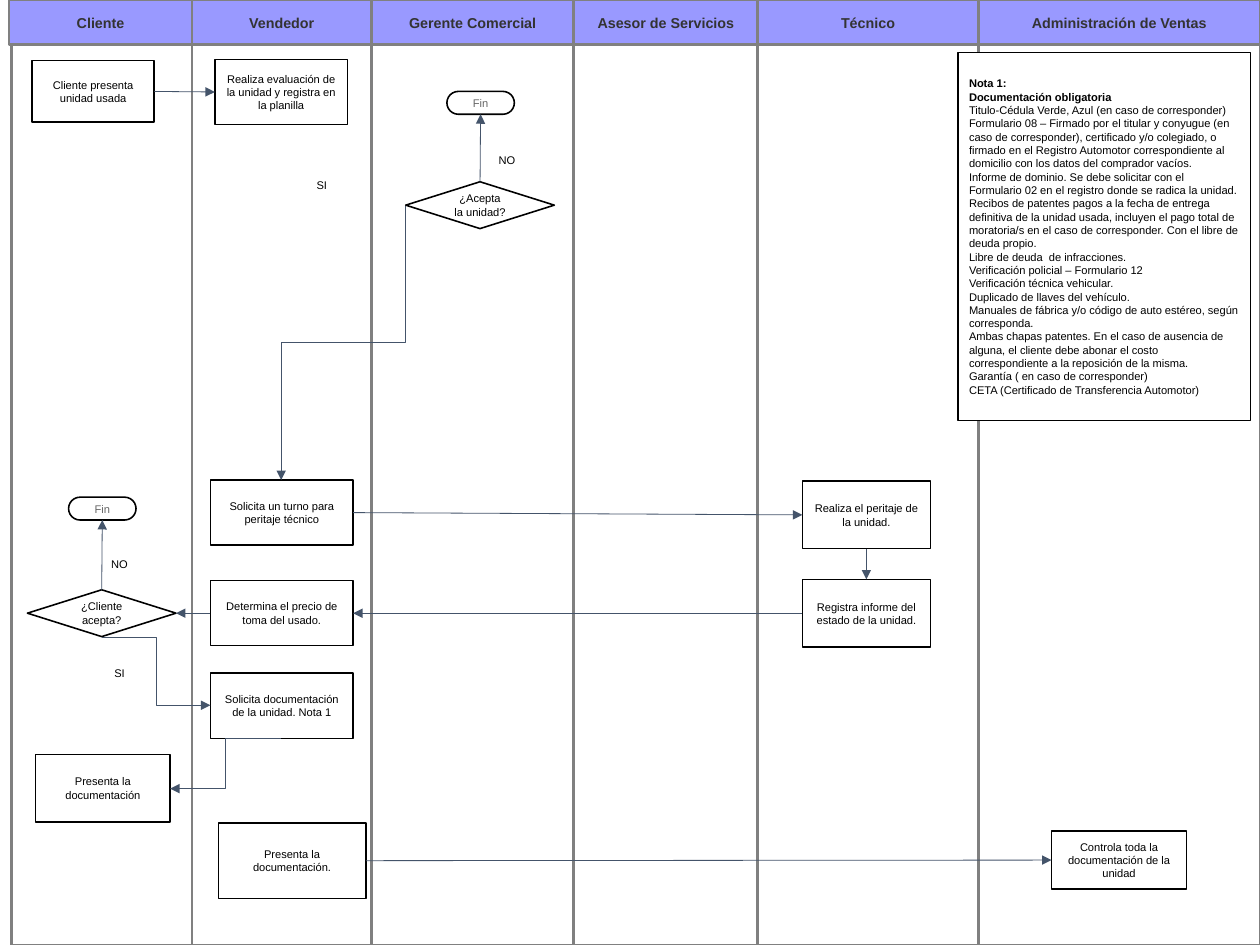
import pptx
import pptx.dml.color
import pptx.enum.shapes
import pptx.enum.text
import pptx.oxml
import pptx.util
from dataclasses import dataclass
from lxml import etree

Inches = pptx.util.Inches
Kind = pptx.enum.shapes.MSO_SHAPE
Connector = pptx.enum.shapes.MSO_CONNECTOR
Align = pptx.enum.text.PP_ALIGN
Anchor = pptx.enum.text.MSO_ANCHOR


@dataclass(frozen=True)
class Theme:
    font: str = "Arial"
    body_size: float = 7
    header_size: float = 9
    ink: str = "000000"
    header_ink: str = "333333"
    end_ink: str = "666666"
    paper: str = "FFFFFF"
    header_fill: str = "9999FF"
    lane_line: str = "808080"
    arrow_line: str = "44546A"
    lane_width: float = 1.7
    box_width: float = 0.99
    arrow_width: float = 0.51


THEME = Theme()
SLIDE_WIDTH, SLIDE_HEIGHT = 28 / 2.54, 21 / 2.54  # 28 by 21 cm
HEADER_HEIGHT = 0.39
TOP, LEFT, BOTTOM, RIGHT = range(4)  # connection sites

LANE_EDGES = [0.1, 1.68, 3.25, 5.02, 6.63, 8.56, SLIDE_WIDTH]
HEADER_EDGES = [0.08, *LANE_EDGES[1:]]
LANE_NAMES = ["Cliente", "Vendedor", "Gerente Comercial", "Asesor de Servicios",
              "Técnico", "Administración de Ventas"]
FRAME_SPANS = [(1, 2), (2, 5), (3, 5), (4, 6), (0, 1)]  # lane edges each frame joins

STEPS = {
    "arrival": ("Cliente presenta unidad usada", 0.28, 0.53, 1.07, 0.54),
    "evaluation": ("Realiza evaluación de la unidad y registra en la planilla",
                   1.88, 0.52, 1.16, 0.57),
    "appointment": ("Solicita un turno para peritaje técnico", 1.84, 4.2, 1.25, 0.57),
    "inspection": ("Realiza el peritaje de la unidad.", 7.02, 4.21, 1.12, 0.59),
    "report": ("Registra informe del estado de la unidad.", 7.02, 5.07, 1.12, 0.59),
    "price": ("Determina el precio de toma del usado.", 1.84, 5.08, 1.25, 0.57),
    "request": ("Solicita documentación de la unidad. Nota 1", 1.84, 5.89, 1.25, 0.57),
    "client papers": ("Presenta la documentación", 0.31, 6.6, 1.18, 0.59),
    "seller papers": ("Presenta la documentación.", 1.91, 7.2, 1.29, 0.66),
    "control": ("Controla toda la documentación de la unidad", 9.2, 7.27, 1.18, 0.51),
}
DECISIONS = {
    "unit accepted": ("¿Acepta la unidad?", 3.55, 1.59),
    "price accepted": ("¿Cliente acepta?", 0.24, 5.16),
}
ENDS = {"unit refused": (3.91, 0.8), "price refused": (0.6, 4.35)}
LABELS = [("NO", 4.26, 1.29), ("NO", 0.87, 4.83), ("SI", 2.64, 1.51), ("SI", 0.87, 5.78)]

ARROWS = [
    ("arrival", RIGHT, "evaluation", LEFT),
    ("unit accepted", TOP, "unit refused", BOTTOM),
    ("appointment", RIGHT, "inspection", LEFT),
    ("inspection", BOTTOM, "report", TOP),
    ("report", LEFT, "price", RIGHT),
    ("price", LEFT, "price accepted", RIGHT),
    ("price accepted", TOP, "price refused", BOTTOM),
    ("seller papers", RIGHT, "control", LEFT),
]
ELBOWS = [  # start, end, whether the first leg is vertical
    ((3.55, 1.8), (2.46, 4.2), True),
    ((0.89, 5.58), (1.84, 6.17), False),
    ((2.46, 6.46), (1.49, 6.9), False),
]

NOTE_TITLES = ["Nota 1:", "Documentación obligatoria"]
NOTE_ITEMS = [
    "Titulo-Cédula Verde, Azul (en caso de corresponder)",
    "Formulario 08 – Firmado por el titular y conyugue (en caso de corresponder), "
    "certificado y/o colegiado, o firmado en el Registro Automotor correspondiente al "
    "domicilio con los datos del comprador vacíos.",
    "Informe de dominio. Se debe solicitar con el Formulario 02 en el registro donde se "
    "radica la unidad.",
    "Recibos de patentes pagos a la fecha de entrega definitiva de la unidad usada, "
    "incluyen el pago total de moratoria/s en el caso de corresponder. Con el libre de "
    "deuda propio.",
    "Libre de deuda  de infracciones.",
    "Verificación policial – Formulario 12",
    "Verificación técnica vehicular.",
    "Duplicado de llaves del vehículo.",
    "Manuales de fábrica y/o código de auto estéreo, según corresponda.",
    "Ambas chapas patentes. En el caso de ausencia de alguna, el cliente debe abonar el "
    "costo correspondiente a la reposición de la misma.",
    "Garantía ( en caso de corresponder)",
    "CETA (Certificado de Transferencia Automotor)",
]


def color(code):
    return pptx.dml.color.RGBColor.from_string(code)


def write(frame, lines, size=THEME.body_size, ink=THEME.ink, align=Align.CENTER):
    """Fill a text frame with (text, bold) lines, one paragraph each."""
    frame.word_wrap = True
    for index, (text, bold) in enumerate(lines):
        paragraph = frame.paragraphs[0] if index == 0 else frame.add_paragraph()
        paragraph.alignment = align
        run = paragraph.add_run()
        run.text = text
        run.font.name, run.font.size, run.font.bold = THEME.font, pptx.util.Pt(size), bold
        run.font.color.rgb = color(ink)


def add_box(slide, kind, place, fill=THEME.paper, line=THEME.ink, width=THEME.box_width):
    shape = slide.shapes.add_shape(kind, *map(Inches, place))
    shape.shadow.inherit = False
    if fill:
        shape.fill.solid()
        shape.fill.fore_color.rgb = color(fill)
    else:
        shape.fill.background()
    shape.line.color.rgb = color(line)
    shape.line.width = pptx.util.Pt(width)
    shape.text_frame.vertical_anchor = Anchor.MIDDLE
    return shape


def add_lane_box(slide, place, fill=None):
    return add_box(slide, Kind.RECTANGLE, place, fill, THEME.lane_line, THEME.lane_width)


def add_node(slide, kind, text, place, ink=THEME.ink):
    shape = add_box(slide, kind, place)
    write(shape.text_frame, [(text, False)], ink=ink)
    return shape


def add_label(slide, text, left, top):
    label = slide.shapes.add_textbox(*map(Inches, (left, top, 0.35, 0.21)))
    write(label.text_frame, [(text, False)])


def add_arrow(slide, kind, start=(0, 0), end=(0, 0)):
    arrow = slide.shapes.add_connector(kind, *map(Inches, (*start, *end)))
    arrow.line.color.rgb = color(THEME.arrow_line)
    arrow.line.width = pptx.util.Pt(THEME.arrow_width)
    qualified = pptx.oxml.ns.qn
    line = arrow._element.spPr.find(qualified("a:ln"))
    etree.SubElement(line, qualified("a:tailEnd"), type="triangle")
    etree.SubElement(arrow._element.spPr, qualified("a:effectLst"))
    return arrow


def add_elbow(slide, start, end, vertical_first):
    if not vertical_first:
        return add_arrow(slide, Connector.ELBOW, start, end)
    # A quarter turn about the centre makes the first leg vertical
    center_x, center_y = (start[0] + end[0]) / 2, (start[1] + end[1]) / 2
    offset_x, offset_y = start[1] - center_y, center_x - start[0]
    arrow = add_arrow(slide, Connector.ELBOW, (center_x + offset_x, center_y + offset_y),
                      (center_x - offset_x, center_y - offset_y))
    arrow._element.spPr.xfrm.set("rot", str(90 * 60000))
    return arrow


def add_lanes(slide):
    for first, last in FRAME_SPANS:
        left, right = LANE_EDGES[first], LANE_EDGES[last]
        add_lane_box(slide, (left, 0, right - left, SLIDE_HEIGHT))
    for name, left, right in zip(LANE_NAMES, HEADER_EDGES, HEADER_EDGES[1:]):
        header = add_lane_box(slide, (left, 0, right - left, HEADER_HEIGHT), THEME.header_fill)
        write(header.text_frame, [(name, True)], THEME.header_size, THEME.header_ink)


def main():
    presentation = pptx.Presentation()
    presentation.slide_width = Inches(SLIDE_WIDTH)
    presentation.slide_height = Inches(SLIDE_HEIGHT)
    slide = presentation.slides.add_slide(presentation.slide_layouts[6])
    add_lanes(slide)

    # Steps, decisions and ends
    nodes = {}
    for name, (text, *place) in STEPS.items():
        nodes[name] = add_node(slide, Kind.RECTANGLE, text, place)
    for name, (text, left, top) in DECISIONS.items():
        nodes[name] = add_node(slide, Kind.DIAMOND, text, (left, top, 1.3, 0.41))
    for name, (left, top) in ENDS.items():
        nodes[name] = add_node(slide, Kind.ROUNDED_RECTANGLE, "Fin",
                               (left, top, 0.59, 0.2), THEME.end_ink)
        nodes[name].adjustments[0] = 0.5

    # Flow
    for source, source_site, target, target_site in ARROWS:
        arrow = add_arrow(slide, Connector.STRAIGHT)
        arrow.begin_connect(nodes[source], source_site)
        arrow.end_connect(nodes[target], target_site)
    for start, end, vertical_first in ELBOWS:
        add_elbow(slide, start, end, vertical_first)
    for text, left, top in LABELS:
        add_label(slide, text, left, top)

    # Note on required documents
    note = add_box(slide, Kind.RECTANGLE, (8.38, 0.46, 2.56, 3.22))
    lines = [(text, True) for text in NOTE_TITLES] + [(text, False) for text in NOTE_ITEMS]
    write(note.text_frame, lines, align=Align.LEFT)
    presentation.save("out.pptx")


main()
